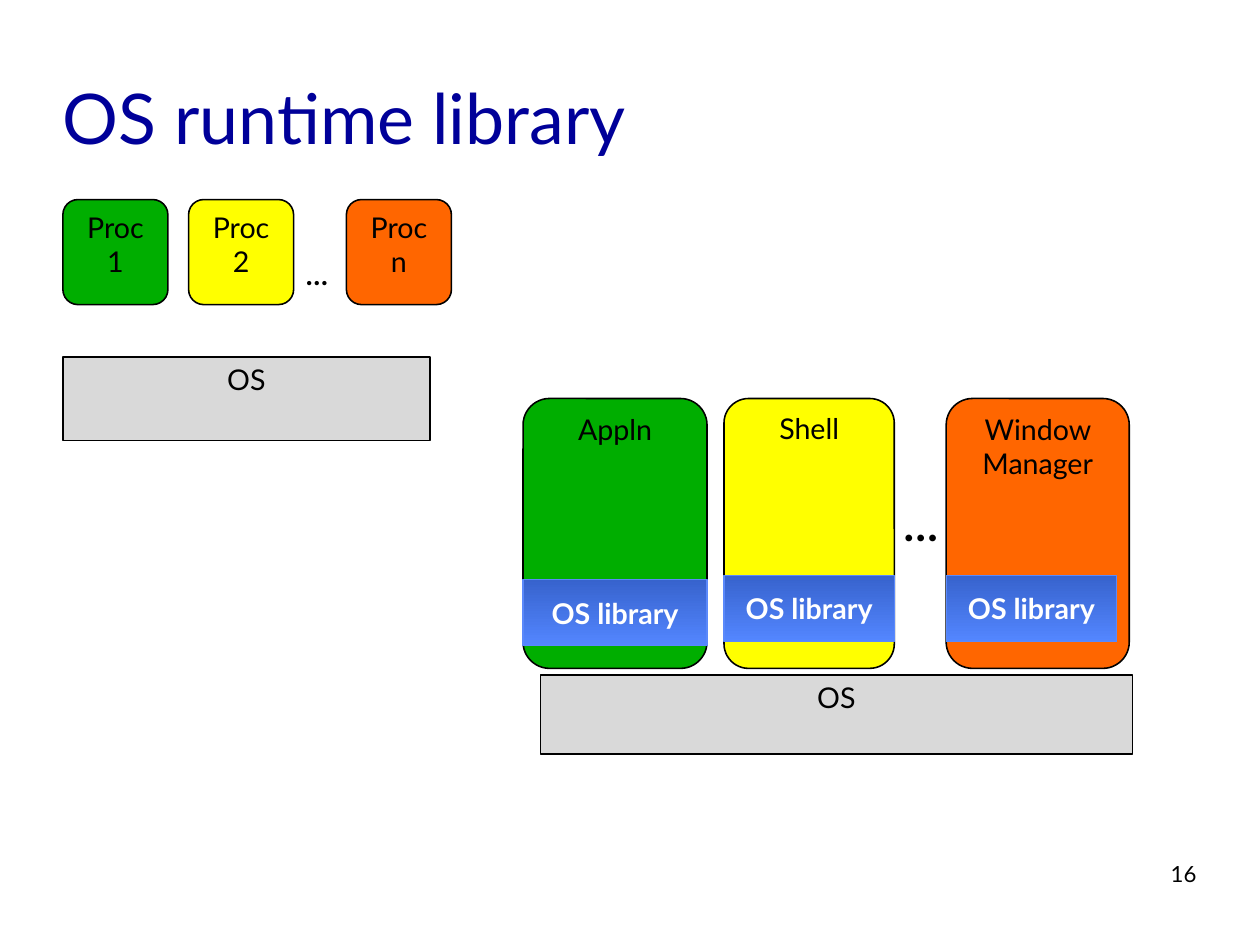
from pptx import Presentation
from pptx.dml.color import RGBColor
from pptx.enum.shapes import MSO_SHAPE
from pptx.enum.text import MSO_ANCHOR, PP_ALIGN
from pptx.util import Pt

FONT = "Lato"
BLACK, WHITE, NAVY, GRAY = "000000", "FFFFFF", "000099", "D9D9D9"
GREEN, YELLOW, ORANGE = "00AE00", "FFFF00", "FF6600"
LIBRARY_TOP, LIBRARY_BOTTOM, LIBRARY_EDGE = "3763CD", "5386FF", "5A89FB"

LEFT = 39.6
PROC_TOP, PROC_SIZE = 125.7, 66.2
PROGRAM_TOP, PROGRAM_HEIGHT = 251, 170
LIBRARY_HEIGHT = 41.8


def rgb(hex_color):
    return RGBColor.from_string(hex_color)


def write(shape, text, size=18, color=BLACK, bold=False, align=PP_ALIGN.CENTER,
          anchor=MSO_ANCHOR.TOP, inset=(7.2, 3.6), wrap=True):
    frame = shape.text_frame
    frame.word_wrap = wrap
    frame.vertical_anchor = anchor
    frame.margin_left = frame.margin_right = Pt(inset[0])
    frame.margin_top = frame.margin_bottom = Pt(inset[1])
    paragraph = frame.paragraphs[0]
    paragraph.alignment = align
    run = paragraph.add_run()
    run.text = text
    run.font.name = FONT
    run.font.size = Pt(size)
    run.font.bold = bold
    run.font.color.rgb = rgb(color)


def add_label(slide, text, left, top, width, height, **text_format):
    label = slide.shapes.add_textbox(Pt(left), Pt(top), Pt(width), Pt(height))
    write(label, text, **text_format)


def add_outlined(slide, kind, left, top, width, height, edge=BLACK, weight=1):
    shape = slide.shapes.add_shape(kind, Pt(left), Pt(top), Pt(width), Pt(height))
    shape.shadow.inherit = False
    shape.line.color.rgb = rgb(edge)
    shape.line.width = Pt(weight)
    return shape


def add_program(slide, text, color, left, top, width, height):
    program = add_outlined(slide, MSO_SHAPE.ROUNDED_RECTANGLE, left, top, width, height)
    program.adjustments[0] = 0.144
    program.fill.solid()
    program.fill.fore_color.rgb = rgb(color)
    write(program, text)


def add_os(slide, left, top, width, height):
    system = add_outlined(slide, MSO_SHAPE.RECTANGLE, left, top, width, height)
    system.fill.solid()
    system.fill.fore_color.rgb = rgb(GRAY)
    write(system, "OS")


def add_library(slide, left, top, width):
    library = add_outlined(slide, MSO_SHAPE.RECTANGLE, left, top, width,
                           LIBRARY_HEIGHT, edge=LIBRARY_EDGE, weight=0.75)
    library.fill.gradient()
    library.fill.gradient_angle = 270
    for stop, color in zip(library.fill.gradient_stops, (LIBRARY_TOP, LIBRARY_BOTTOM)):
        stop.color.rgb = rgb(color)
    write(library, "OS library", color=WHITE, bold=True, anchor=MSO_ANCHOR.MIDDLE)


def add_processes(slide):
    add_os(slide, LEFT, 224.7, 231.2, 52.8)
    for name, color, left in (("Proc 1", GREEN, LEFT),
                              ("Proc 2", YELLOW, 118.8),
                              ("Proc n", ORANGE, 218.2)):
        add_program(slide, name, color, left, PROC_TOP, PROC_SIZE, PROC_SIZE)
    add_label(slide, "…", 185.6, 158.4, 28.8, 31.7, bold=True,
              align=PP_ALIGN.LEFT, wrap=False)


def add_programs_with_library(slide):
    add_os(slide, 340.4, 425, 373, 49.8)
    programs = (("Appln", GREEN, 329.5, 115.9),
                ("Shell", YELLOW, 456.1, 107.3),
                ("Window Manager", ORANGE, 596.1, 115.3))
    for name, color, left, width in programs:
        add_program(slide, name, color, left, PROGRAM_TOP, width, PROGRAM_HEIGHT)
    add_label(slide, "…", 562.1, 309.6, 51.1, 44.6, size=28, bold=True,
              align=PP_ALIGN.LEFT)
    for left, top, width in ((329.5, 365, 115.9),
                             (456.1, 362.4, 107.3),
                             (596.1, 362.4, 107.3)):
        add_library(slide, left, top, width)


def main():
    deck = Presentation()
    deck.slide_width, deck.slide_height = Pt(793.75), Pt(595.25)
    slide = deck.slides.add_slide(deck.slide_layouts[6])
    add_processes(slide)
    add_programs_with_library(slide)
    add_label(slide, "OS runtime library", LEFT, 23.8, 714.2, 99.4, size=44, color=NAVY,
              align=PP_ALIGN.LEFT, anchor=MSO_ANCHOR.MIDDLE, inset=(0, 0))
    add_label(slide, "16", 568.8, 542.2, 185, 41, size=14,
              align=PP_ALIGN.RIGHT, inset=(0, 0))
    deck.save("out.pptx")


if __name__ == "__main__":
    main()
